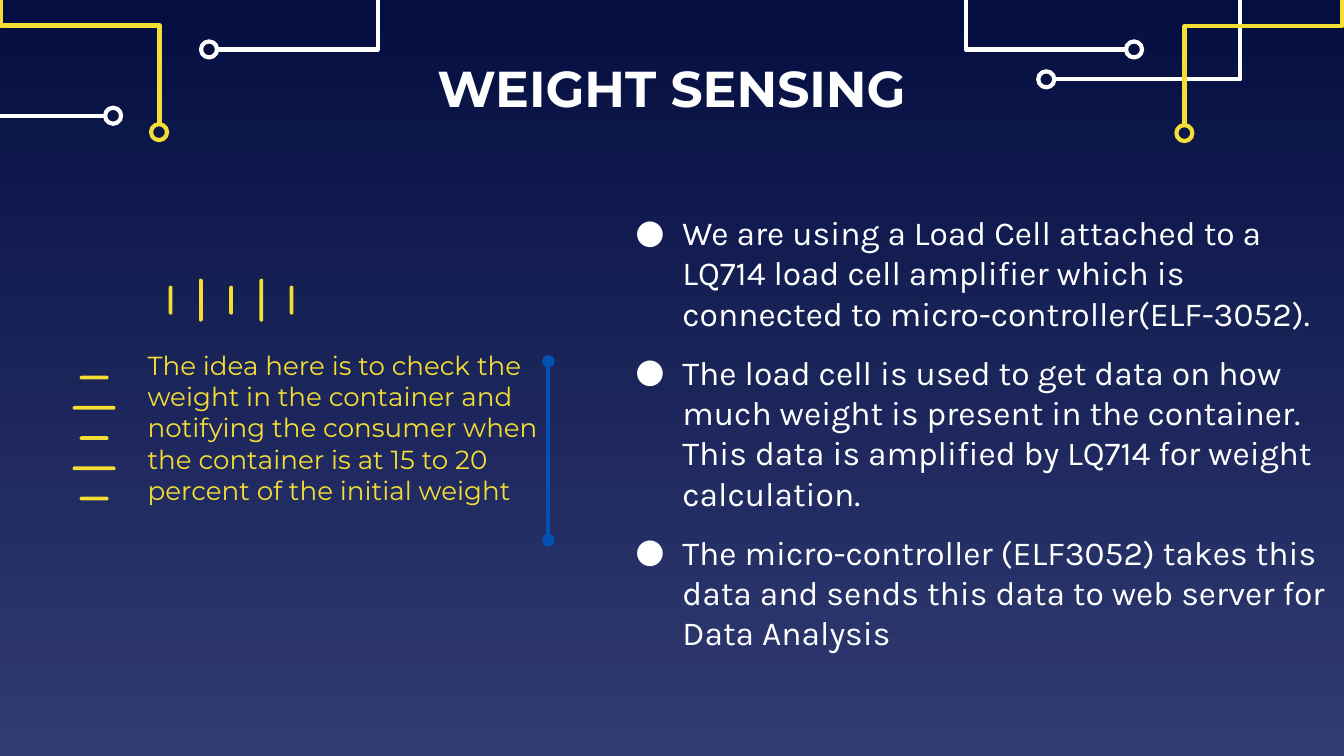
import pptx
import pptx.dml.color
import pptx.enum.shapes
import pptx.enum.text
import pptx.oxml
import pptx.oxml.ns
import pptx.util

Pt = pptx.util.Pt
RGB = pptx.dml.color.RGBColor
Shape = pptx.enum.shapes.MSO_SHAPE
Align = pptx.enum.text.PP_ALIGN
Anchor = pptx.enum.text.MSO_ANCHOR
Fit = pptx.enum.text.MSO_AUTO_SIZE

WHITE = RGB(0xFF, 0xFF, 0xFF)
YELLOW = RGB(0xF5, 0xDE, 0x34)
BLUE = RGB(0x01, 0x52, 0xB1)
NIGHT = RGB(0x04, 0x0E, 0x41)
DUSK = RGB(0x30, 0x3B, 0x72)

TITLE = "WEIGHT SENSING"
IDEA = ("The idea here is to check the weight in the container and notifying "
        "the consumer when the container is at 15 to 20 percent of the "
        "initial weight")
POINTS = [
    "We are using a Load Cell attached to a LQ714 load cell amplifier which "
    "is connected to micro-controller(ELF-3052).",
    "The load cell is used to get data on how much weight is present in the "
    "container. This data is amplified by LQ714 for weight calculation.",
    "The micro-controller (ELF3052) takes this data and sends this data to "
    "web server for Data Analysis",
]
TRACES = [
    (WHITE, (560.5, 42.5), [(564, 42.5), (664.5, 42.5), (664.5, -36.5)]),
    (YELLOW, (634.5, 71.3), [(634.5, 67), (634.5, 14), (719, 14), (719, -37)]),
    (YELLOW, (85.2, 70.8), [(85.5, 67), (85.5, 13.7), (0.7, 13.7), (0.7, -37)]),
    (WHITE, (60.6, 62), [(57, 62), (-8, 62), (-8, -17)]),
    (WHITE, (607.5, 26.5), [(604, 26.5), (517.5, 26.5), (517.5, -52.5)]),
    (WHITE, (112, 26.5), [(116, 26.5), (202.5, 26.5), (202.5, -52.5)]),
]


class Deck:
    """Hold the style and the current slide, and draw each kind of element."""

    weight = Pt(2.25)
    ring = 8.6
    thick = 2

    def __init__(self):
        self.show = pptx.Presentation()
        self.show.slide_width, self.show.slide_height = Pt(720), Pt(405)
        self.slide = self.show.slides.add_slide(self.show.slide_layouts[6])
        self.shapes = self.slide.shapes

    def back(self, top, base):
        fill = self.slide.background.fill
        fill.gradient()
        fill.gradient_angle = 270
        for stop, color in zip(fill.gradient_stops, (top, base)):
            stop.color.rgb = color

    def stroke(self, shape, color):
        shape.shadow.inherit = False
        shape.fill.background()
        shape.line.color.rgb = color
        shape.line.width = self.weight

    def trace(self, color, center, route):
        pen = self.shapes.build_freeform(*map(Pt, route[0]), scale=1.0)
        pen.add_line_segments([(Pt(x), Pt(y)) for x, y in route[1:]], close=False)
        self.stroke(pen.convert_to_shape(), color)
        x, y = (c - self.ring / 2 for c in center)
        box = map(Pt, (x, y, self.ring, self.ring))
        self.stroke(self.shapes.add_shape(Shape.OVAL, *box), color)

    def bar(self, x, y, width, height, color):
        box = map(Pt, (x - width / 2, y - height / 2, width, height))
        bar = self.shapes.add_shape(Shape.ROUNDED_RECTANGLE, *box)
        bar.adjustments[0] = 0.5
        bar.shadow.inherit = False
        bar.fill.solid()
        bar.fill.fore_color.rgb = color
        bar.line.fill.background()

    def ticks(self, x, y, step, color, across):
        for i in range(5):
            size = 23 if i % 2 else 15.5
            if across:
                self.bar(x + i * step, y, self.thick, size, color)
            else:
                self.bar(x, y + i * step, size, self.thick, color)

    def rule(self, x, top, base, color):
        kind = pptx.enum.shapes.MSO_CONNECTOR.STRAIGHT
        rule = self.shapes.add_connector(kind, Pt(x), Pt(top), Pt(x), Pt(base))
        rule.line.color.rgb = color
        rule.line.width = self.weight
        line = rule.line._get_or_add_ln()
        for end in ("a:headEnd", "a:tailEnd"):
            dot = pptx.oxml.ns.qn(end)
            line.append(line.makeelement(dot, {"type": "oval"}))
        props = rule._element.spPr
        props.append(props.makeelement(pptx.oxml.ns.qn("a:effectLst"), {}))

    def bullet(self, para, face, color):
        para.space_before = Pt(10)
        props = para._p.get_or_add_pPr()
        props.set("marL", str(Pt(36)))
        props.set("indent", str(-Pt(25.2)))
        names = pptx.oxml.ns.nsdecls("a")
        for mark in (f'<a:buClr {names}><a:srgbClr val="{color}"/></a:buClr>',
                     f'<a:buFont {names} typeface="{face}"/>',
                     f'<a:buChar {names} char="●"/>'):
            props.append(pptx.oxml.parse_xml(mark))

    def text(self, box, lines, face, size, color, bold=False, align=Align.LEFT,
             anchor=Anchor.MIDDLE, inset=7.2, fit=Fit.NONE, dots=False):
        frame = self.shapes.add_textbox(*map(Pt, box)).text_frame
        frame.word_wrap = True
        frame.auto_size = fit
        frame.vertical_anchor = anchor
        frame.margin_top = frame.margin_bottom = Pt(inset)
        frame.margin_left = frame.margin_right = Pt(7.2)
        frame.text = "\n".join(lines)
        for para in frame.paragraphs:
            para.alignment = align
            if dots:
                self.bullet(para, face, color)
            font = para.font
            font.name, font.size, font.bold = face, Pt(size), bold
            font.color.rgb = color


def main():
    deck = Deck()
    deck.back(NIGHT, DUSK)
    for trace in TRACES:
        deck.trace(*trace)
    deck.text((322.5, 124.2, 397.5, 214.6), POINTS, "Karla", 18, WHITE, dots=True)
    deck.text((128.2, 28.3, 463, 37.5), [TITLE], "Montserrat", 27, WHITE,
              bold=True, align=Align.CENTER)
    deck.rule(293.8, 193.6, 289.4, BLUE)
    deck.ticks(50.4, 202.3, 16.2, YELLOW, across=False)
    deck.ticks(91.4, 160.8, 16.2, YELLOW, across=True)
    deck.text((72, 183.4, 226.8, 108.7), [IDEA], "Montserrat", 14, YELLOW,
              anchor=Anchor.TOP, inset=3.6, fit=Fit.SHAPE_TO_FIT_TEXT)
    deck.show.save("out.pptx")


if __name__ == "__main__":
    main()
